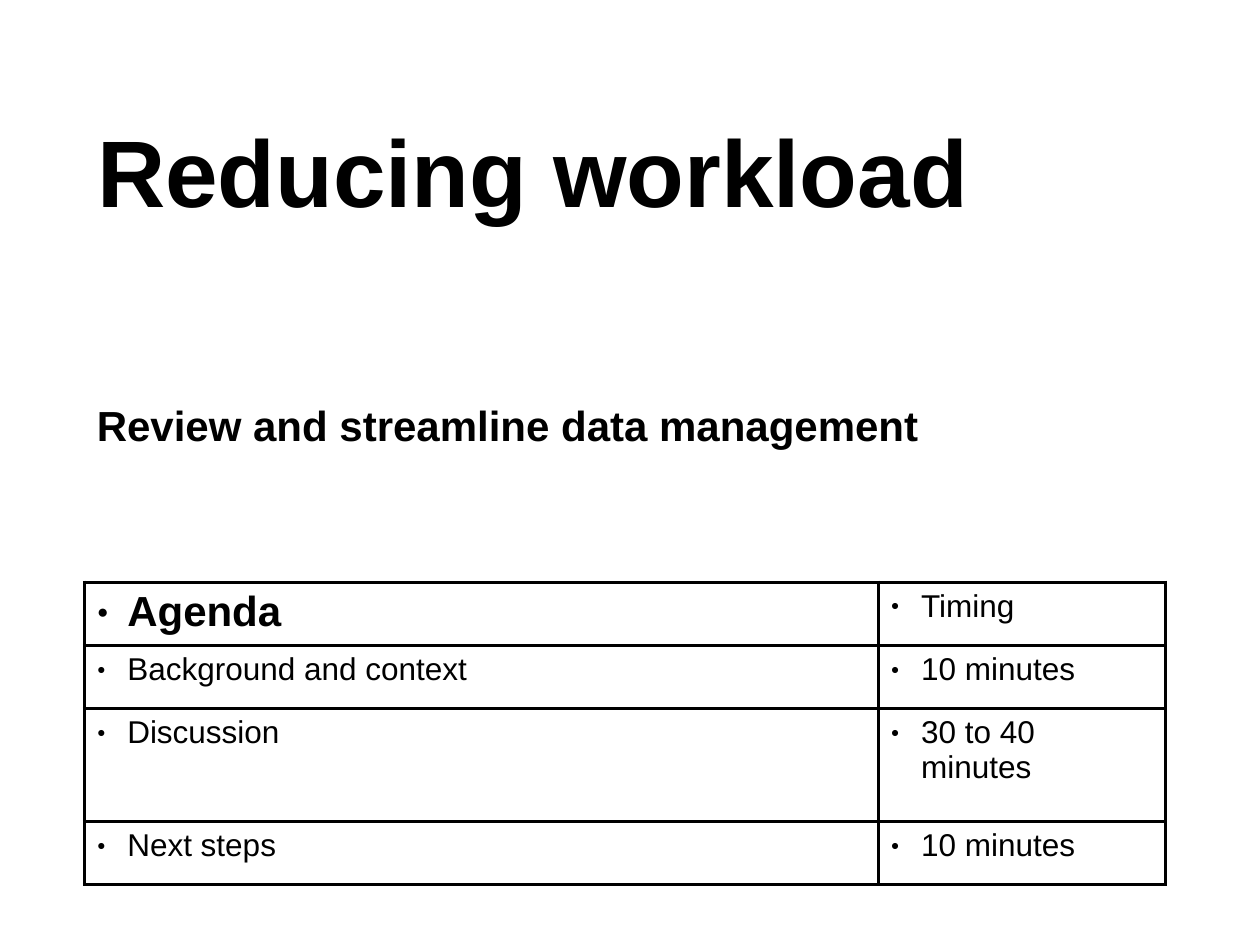
import lxml.etree
import pptx
import pptx.dml.color
import pptx.enum.text
import pptx.oxml.ns
import pptx.util

BLACK = pptx.dml.color.RGBColor(0, 0, 0)
WHITE = pptx.dml.color.RGBColor(255, 255, 255)
FONT = "Arial"
SLIDE_WIDTH = pptx.util.Inches(10)
SLIDE_HEIGHT = pptx.util.Inches(7.5)
MARGIN = 0.067
INDENT = pptx.util.Inches(0.24)
BORDER = pptx.util.Pt(1.98)
COLUMN_INCHES = (6.3, 2.28)
ROW_INCHES = (0.5, 0.5, 0.9, 0.5)
AGENDA = (
    ("Agenda", "Timing"),
    ("Background and context", "10 minutes"),
    ("Discussion", "30 to 40 minutes"),
    ("Next steps", "10 minutes"),
)


def box_at(left, top, width, height):
    """Turn shares of the slide into a box."""
    return (int(SLIDE_WIDTH * left), int(SLIDE_HEIGHT * top),
            int(SLIDE_WIDTH * width), int(SLIDE_HEIGHT * height))


def add_element(parent, tag, **attributes):
    """Append a drawing element with the given attributes."""
    element = lxml.etree.SubElement(parent, pptx.oxml.ns.qn(tag))
    for name, value in attributes.items():
        element.set(name, str(value))
    return element


def write(paragraph, wording, size, bold):
    """Add one left-aligned run to a paragraph."""
    paragraph.alignment = pptx.enum.text.PP_ALIGN.LEFT
    run = paragraph.add_run()
    run.text = wording
    run.font.name = FONT
    run.font.size = pptx.util.Pt(size)
    run.font.bold = bold
    run.font.color.rgb = BLACK


def add_bullet(paragraph):
    """Give a paragraph a small round bullet and a hanging indent."""
    properties = paragraph._p.get_or_add_pPr()
    properties.set("marL", str(INDENT))
    properties.set("indent", str(-INDENT))
    colour = add_element(properties, "a:buClr")
    add_element(colour, "a:srgbClr", val=BLACK)
    add_element(properties, "a:buSzPct", val=45000)
    add_element(properties, "a:buFont", typeface=FONT)
    add_element(properties, "a:buChar", char="●")


def style_cell(cell):
    """Draw the four borders of a cell and fill it."""
    properties = cell._tc.get_or_add_tcPr()
    for side in ("a:lnL", "a:lnR", "a:lnT", "a:lnB"):
        line = add_element(properties, side, w=BORDER)
        add_element(add_element(line, "a:solidFill"), "a:srgbClr", val=BLACK)
    cell.fill.solid()
    cell.fill.fore_color.rgb = WHITE


def place_title(slide, box):
    """Place the title in its box."""
    title = slide.shapes.title
    title.left, title.top, title.width, title.height = box
    title.text_frame.auto_size = pptx.enum.text.MSO_AUTO_SIZE.NONE
    title.text_frame.vertical_anchor = pptx.enum.text.MSO_ANCHOR.MIDDLE
    write(title.text_frame.paragraphs[0], "Reducing workload", 54, True)


def place_subtitle(slide, box):
    """Place the topic line in its box."""
    subtitle = slide.shapes.add_textbox(*box).text_frame
    subtitle.word_wrap = True
    subtitle.auto_size = pptx.enum.text.MSO_AUTO_SIZE.SHAPE_TO_FIT_TEXT
    write(subtitle.paragraphs[0], "Review and streamline data management", 24, True)


def place_agenda(slide, box):
    """Place the agenda table, sharing its box among columns and rows."""
    left, top, width, height = box
    agenda = slide.shapes.add_table(len(AGENDA), len(COLUMN_INCHES), *box).table
    for column, share in zip(agenda.columns, COLUMN_INCHES):
        column.width = int(width * share / sum(COLUMN_INCHES))
    for row, share in zip(agenda.rows, ROW_INCHES):
        row.height = int(height * share / sum(ROW_INCHES))
    for row, wordings in zip(agenda.rows, AGENDA):
        for cell, wording in zip(row.cells, wordings):
            heading = wording == "Agenda"
            paragraph = cell.text_frame.paragraphs[0]
            write(paragraph, wording, 24 if heading else 18, heading)
            add_bullet(paragraph)
            style_cell(cell)


def build():
    """Build and save the presentation."""
    presentation = pptx.Presentation()
    presentation.slide_width = SLIDE_WIDTH
    presentation.slide_height = SLIDE_HEIGHT
    slide = presentation.slides.add_slide(presentation.slide_layouts[5])
    slide.background.fill.solid()
    slide.background.fill.fore_color.rgb = WHITE
    place_title(slide, box_at(MARGIN, 0.08, 0.85, 0.2))
    place_subtitle(slide, box_at(MARGIN, 0.416, 0.866, 0.067))
    place_agenda(slide, box_at(MARGIN, 0.616, 0.858, 0.32))
    presentation.save("out.pptx")


build()
